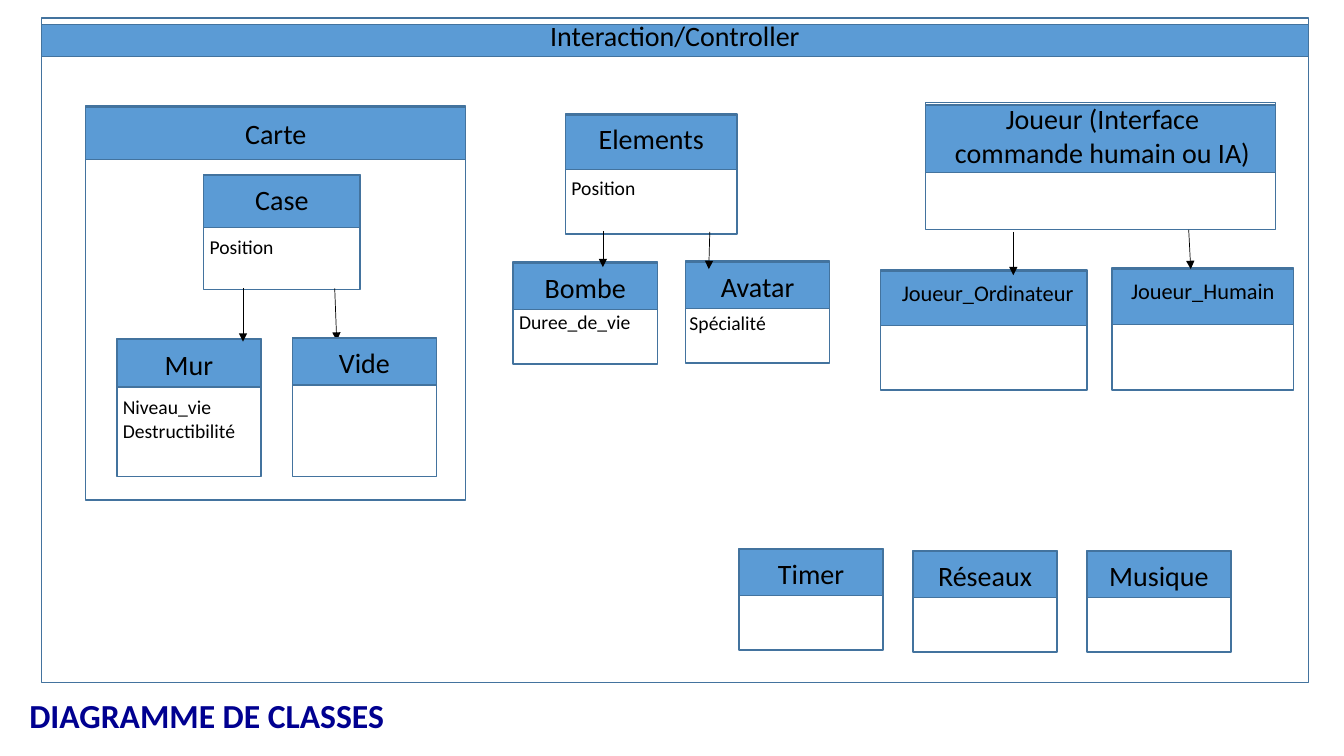
from collections import namedtuple

from lxml import etree
from pptx import Presentation
from pptx.dml.color import RGBColor
from pptx.enum.shapes import MSO_CONNECTOR as Connector, MSO_SHAPE as Shape
from pptx.enum.text import PP_ALIGN as Align
from pptx.oxml.ns import qn
from pptx.util import Inches, Pt

BLUE = RGBColor(0x5B, 0x9B, 0xD5)
BORDER = RGBColor(0x43, 0x73, 0x9E)
BLACK = RGBColor(0, 0, 0)
NAVY = RGBColor(0, 0, 0x90)
FONT = "Calibri"

Box = namedtuple("Box", "left top width height")


def inside(box, left, top, width, height):
    return Box(box.left + left, box.top + top, width, height)


def add_rectangle(page, box, fill=None):
    rectangle = page.shapes.add_shape(Shape.RECTANGLE, *map(Inches, box))
    rectangle.shadow.inherit = False
    rectangle.line.color.rgb = BORDER
    rectangle.line.width = Pt(1)
    if fill is None:
        rectangle.fill.background()
    else:
        rectangle.fill.solid()
        rectangle.fill.fore_color.rgb = fill


def add_text(page, box, text, size, align=Align.CENTER, color=BLACK, bold=False, wrap=True):
    frame = page.shapes.add_textbox(*map(Inches, box)).text_frame
    frame.word_wrap = wrap
    frame.text = text
    for para in frame.paragraphs:
        para.alignment = align
        for span in para.runs:
            span.font.name = FONT
            span.font.size = Pt(size)
            span.font.bold = bold
            span.font.color.rgb = color


def add_arrow(page, box, start, end):
    points = [Inches(value) for x, y in (start, end) for value in (box.left + x, box.top + y)]
    arrow = page.shapes.add_connector(Connector.STRAIGHT, *points)
    arrow.line.color.rgb = BLACK
    arrow.line.width = Pt(0.5)
    etree.SubElement(arrow.line._get_or_add_ln(), qn("a:tailEnd"), type="triangle")
    etree.SubElement(arrow._element.spPr, qn("a:effectLst"))


def add_class(page, box, name, head=0.46, size=20, head_top=0.01, shift=(0, 0.02), inset=0,
              attributes="", attributes_shift=(-0.04, 0.02)):
    header = inside(box, 0, head_top, box.width, head)
    add_rectangle(page, box)
    add_rectangle(page, header, BLUE)
    label = inside(header, shift[0] + inset, shift[1], box.width - 2 * inset, 0.44)
    add_text(page, label, name, size)
    if attributes:
        dx, dy = attributes_shift
        body = inside(header, dx, head + dy, box.width, 0.34)
        add_text(page, body, attributes, 14, Align.LEFT)


def add_controller(page, box):
    add_class(page, box, "Interaction/Controller", head=0.32, head_top=0.06, shift=(0, -0.11))


def add_map(page, box):
    add_class(page, box, "Carte", head=0.52, shift=(0, 0.05))
    add_class(page, inside(box, 1.17, 0.68, 1.55, 1.14), "Case", head=0.52, attributes="Position")
    add_class(page, inside(box, 0.31, 2.31, 1.43, 1.37), "Mur", head=0.47, shift=(0, 0.03),
              attributes="Niveau_vie\nDestructibilité", attributes_shift=(-0.04, 0.03))
    add_arrow(page, box, (1.56, 1.81), (1.56, 2.34))
    add_arrow(page, box, (2.47, 1.81), (2.49, 2.33))
    add_class(page, inside(box, 2.05, 2.3, 1.43, 1.38), "Vide")


def add_elements(page, box):
    add_class(page, inside(box, 0.52, 0, 1.7, 1.19), "Elements", head=0.54, attributes="Position")
    add_class(page, inside(box, 0, 1.47, 1.43, 1.01), "Bombe",
              attributes="Duree_de_vie", attributes_shift=(-0.04, -0.04))
    add_class(page, inside(box, 1.71, 1.46, 1.43, 1.01), "Avatar",
              attributes="Spécialité", attributes_shift=(-0.06, -0.02))
    add_arrow(page, box, (0.89, 1.16), (0.89, 1.52))
    add_arrow(page, box, (1.95, 1.17), (1.94, 1.54))


def add_players(page, box):
    add_class(page, inside(box, 0.45, 0, 3.47, 1.26), "Joueur (Interface commande humain ou IA)",
              head=0.67, head_top=0.02, shift=(0.02, -0.08), inset=0.17)
    add_class(page, inside(box, 0, 1.66, 2.05, 1.19), "Joueur_Ordinateur",
              head=0.54, size=16, shift=(0.04, 0.03))
    add_class(page, inside(box, 2.3, 1.64, 1.8, 1.21), "Joueur_Humain",
              head=0.55, size=16, shift=(0, 0.03))
    add_arrow(page, box, (1.32, 1.28), (1.32, 1.71))
    add_arrow(page, box, (3.06, 1.26), (3.08, 1.65))


def add_services(page, box):
    services = (("Timer", 0), ("Réseaux", 0.02), ("Musique", 0.02))
    width = 1.43
    step = (box.width - width) / (len(services) - 1)
    for index, (name, top) in enumerate(services):
        add_class(page, inside(box, index * step, top, width, 1.01), name)


def add_title(page, box):
    add_text(page, box, "DIAGRAMME DE CLASSES", 24, color=NAVY, bold=True, wrap=False)


def main():
    deck = Presentation()
    deck.slide_width = Inches(13.33)
    deck.slide_height = Inches(7.5)
    page = deck.slides.add_slide(deck.slide_layouts[6])
    add_controller(page, Box(0.41, 0.18, 12.57, 6.59))
    add_map(page, Box(0.85, 1.05, 3.77, 3.91))
    add_elements(page, Box(5.09, 1.13, 3.14, 2.48))
    add_players(page, Box(8.73, 1.02, 4.1, 2.85))
    add_services(page, Box(7.33, 5.44, 4.88, 1.03))
    add_title(page, Box(0.17, 6.84, 3.76, 0.5))
    deck.save("out.pptx")


if __name__ == "__main__":
    main()
